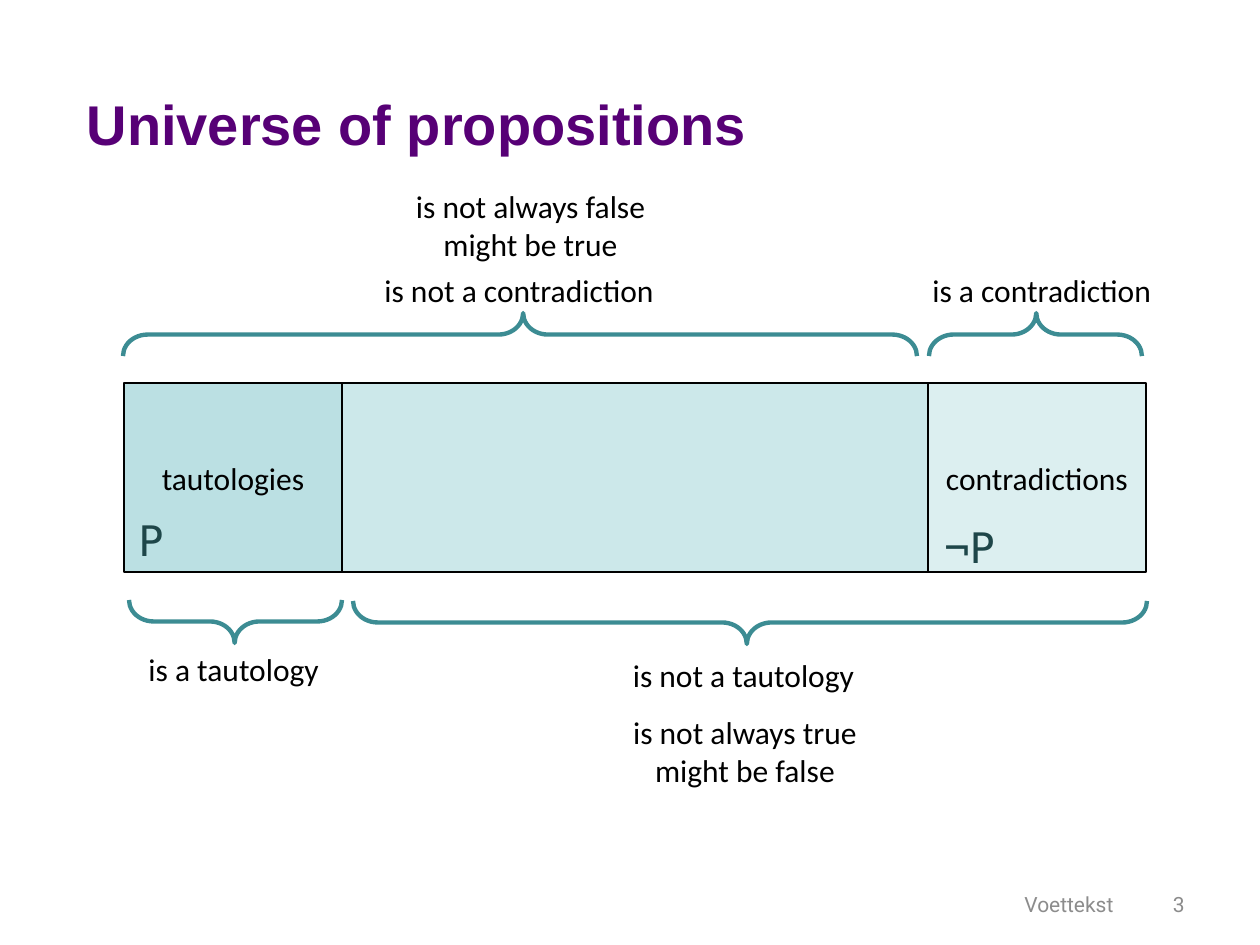
from dataclasses import dataclass

from pptx import Presentation
from pptx.dml.color import RGBColor
from pptx.enum.shapes import MSO_SHAPE
from pptx.enum.text import MSO_ANCHOR, MSO_AUTO_SIZE, PP_ALIGN
from pptx.util import Emu, Pt

PX_PER_INCH = 126
LEFT, CENTER, RIGHT = PP_ALIGN.LEFT, PP_ALIGN.CENTER, PP_ALIGN.RIGHT


@dataclass(frozen=True)
class Theme:
    title: str = "570076"
    ink: str = "000000"
    symbol: str = "1E4649"
    footer: str = "8C8C8C"
    brace: str = "3C8C93"
    paper: str = "FFFFFF"
    tautology: str = "BBE0E3"
    contingent: str = "CCE8EA"
    contradiction: str = "DCEFF0"
    title_font: str = "Arial"
    label_font: str = "Calibri"
    symbol_font: str = "DejaVu Sans Mono"
    footer_font: str = "Roboto"
    title_size: int = 32
    symbol_size: int = 24
    label_size: int = 18
    footer_size: int = 12


THEME = Theme()


def px(length):
    return Emu(round(length * 914400 / PX_PER_INCH))


def place(shape, box):
    shape.left, shape.top, shape.width, shape.height = map(px, box)


def write(frame, text, font=THEME.label_font, size=THEME.label_size,
          color=THEME.ink, bold=False, align=LEFT, anchor=MSO_ANCHOR.TOP):
    """Fill a text frame, one paragraph for each line of text."""
    frame.text = text
    frame.vertical_anchor = anchor
    for para in frame.paragraphs:
        para.alignment = align
        for span in para.runs:
            span.font.name, span.font.size = font, Pt(size)
            span.font.bold = bold
            span.font.color.rgb = RGBColor.from_string(color)


def add_text(page, box, text, wrap=False, **style):
    frame = page.shapes.add_textbox(*map(px, box)).text_frame
    write(frame, text, **style)
    frame.word_wrap = wrap
    frame.auto_size = MSO_AUTO_SIZE.NONE if wrap else MSO_AUTO_SIZE.SHAPE_TO_FIT_TEXT


def add_shape(page, kind, box, fill, line, weight):
    shape = page.shapes.add_shape(kind, *map(px, box))
    shape.shadow.inherit = False
    shape.fill.solid()
    shape.fill.fore_color.rgb = RGBColor.from_string(fill)
    shape.line.color.rgb = RGBColor.from_string(line)
    shape.line.width = Pt(weight)
    return shape


def add_title(page, box, text):
    title = page.shapes.title
    place(title, box)
    write(title.text_frame, text, font=THEME.title_font, size=THEME.title_size,
          color=THEME.title, bold=True, anchor=MSO_ANCHOR.MIDDLE)


def add_universe(page, box):
    """Draw the bar of all propositions, with its two end classes."""
    left, top, width, height = box
    end = 218
    middle = width - 2 * end
    x = left
    for text, span_width, fill in (("tautologies", end, THEME.tautology),
                                   ("", middle, THEME.contingent),
                                   ("contradictions", end, THEME.contradiction)):
        cell = add_shape(page, MSO_SHAPE.RECTANGLE, (x, top, span_width, height),
                         fill, THEME.ink, 0.75)
        if text:
            write(cell.text_frame, text, align=CENTER, anchor=MSO_ANCHOR.MIDDLE)
        x += span_width
    for text, dx, dy, text_width in (("P", 2, 125, 54), ("¬P", 808, 132, 78)):
        add_text(page, (left + dx, top + dy, text_width, 63), text,
                 font=THEME.symbol_font, size=THEME.symbol_size, color=THEME.symbol)


def add_brace(page, box, turn):
    """Draw a brace that fills the box: turn 90 points down, 270 points up."""
    left, top, width, height = box
    upright = (left + (width - height) / 2, top + (height - width) / 2, height, width)
    brace = add_shape(page, MSO_SHAPE.RIGHT_BRACE, upright, THEME.paper, THEME.brace, 2.5)
    brace.adjustments[0], brace.adjustments[1] = 0.575, 0.504
    brace.rotation = turn


def add_braced_group(page, box, turn, captions):
    """Draw a brace and its captions, each (text, dx, dy, width, height, align)."""
    add_brace(page, box, turn)
    left, top = box[:2]
    for text, dx, dy, width, height, align in captions:
        add_text(page, (left + dx, top + dy, width, height), text, align=align)


def add_footer(page, box, text, number):
    left, top, width, height = box
    number_width = 71
    text_width = width - number_width
    for words, x, part in ((text, left, text_width),
                           (number, left + text_width, number_width)):
        add_text(page, (x, top, part, height), words, wrap=True, align=RIGHT,
                 font=THEME.footer_font, size=THEME.footer_size,
                 color=THEME.footer, anchor=MSO_ANCHOR.MIDDLE)


def main():
    deck = Presentation()
    deck.slide_width, deck.slide_height = px(1260), px(945)
    page = deck.slides.add_slide(deck.slide_layouts[5])

    add_title(page, (74, 76, 1124, 94), "Universe of propositions")
    add_footer(page, (253, 879, 944, 50), "Voettekst", "3")
    add_universe(page, (124, 383, 1022, 189))

    long, short, depth = 794, 213, 43
    add_braced_group(page, (353, 601, long, depth), 90, [
        ("is not a tautology", 266, 49, 249, 50, CENTER),
        ("is not always true\nmight be false", 266, 106, 252, 89, CENTER)])
    add_braced_group(page, (129, 600, short, depth), 90, [
        ("is a tautology", 7, 44, 198, 50, LEFT)])
    add_braced_group(page, (929, 313, short, depth), 270, [
        ("is a contradiction", -9, -48, 247, 50, LEFT)])
    add_braced_group(page, (123, 313, long, depth), 270, [
        ("is not a contradiction", 249, -48, 299, 50, LEFT),
        ("is not always false\nmight be true", 279, -132, 257, 89, CENTER)])

    deck.save("out.pptx")


if __name__ == "__main__":
    main()
